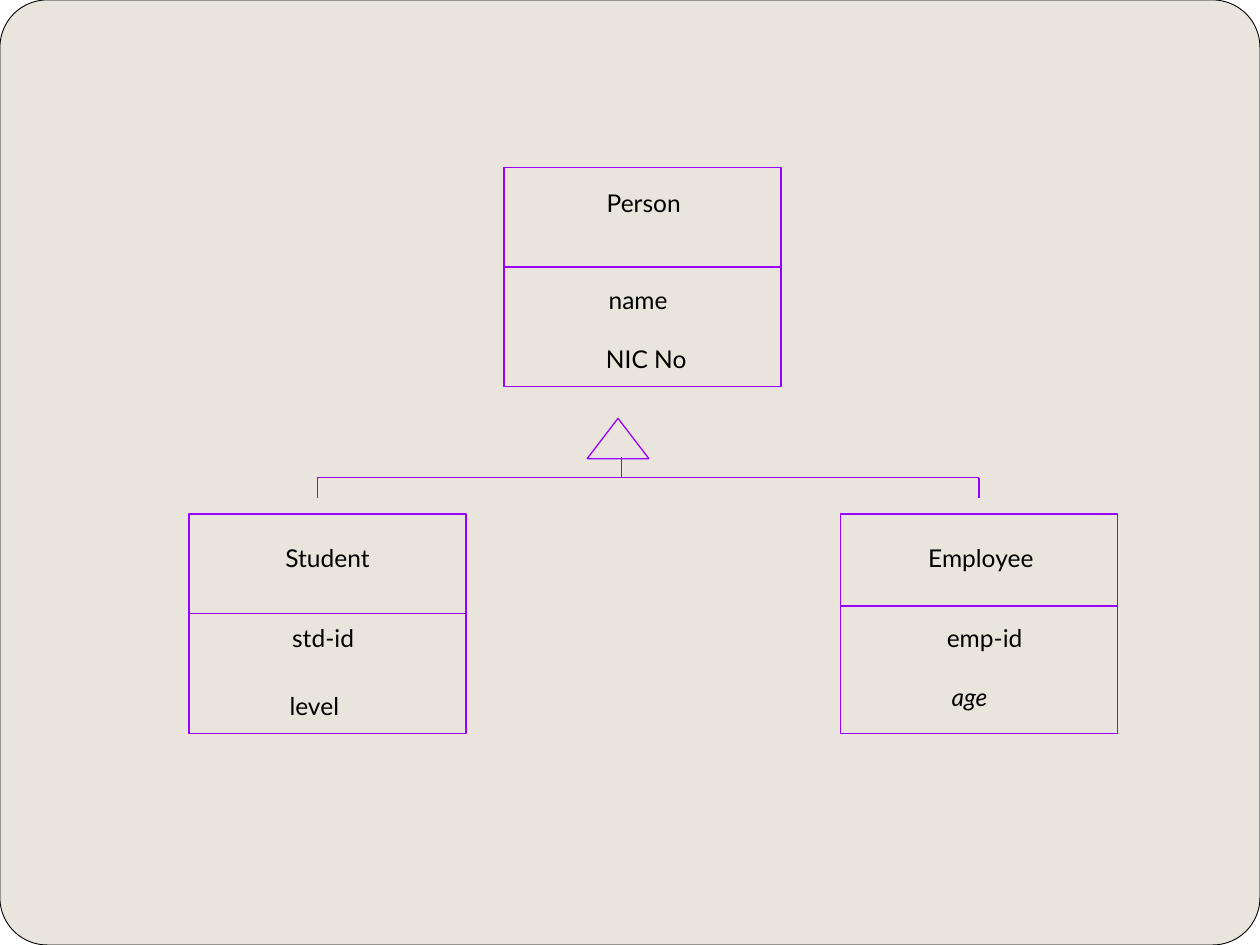
import pptx
import pptx.util
import pptx.dml.color
import pptx.enum.shapes
import pptx.enum.text
import pptx.oxml.ns
import lxml.etree

Inches = pptx.util.Inches
Pt = pptx.util.Pt
RGBColor = pptx.dml.color.RGBColor
MSO_SHAPE = pptx.enum.shapes.MSO_SHAPE

BEIGE = RGBColor(0xE9, 0xE5, 0xDC)
WHITE = RGBColor(0xFF, 0xFF, 0xFF)
BLACK = RGBColor(0x00, 0x00, 0x00)
PURPLE = RGBColor(0x99, 0x00, 0xFF)

prs = pptx.Presentation()
prs.slide_width = Inches(10)
prs.slide_height = Inches(7.5)
s = prs.slides.add_slide(prs.slide_layouts[6])
s.background.fill.solid()
s.background.fill.fore_color.rgb = BEIGE


def add_text(text, *, left, top, width, height=0.64, italic=False, wrap=True):
    tb = s.shapes.add_textbox(Inches(left), Inches(top), Inches(width), Inches(height))
    tf = tb.text_frame
    tf.word_wrap = wrap
    tf.vertical_anchor = pptx.enum.text.MSO_ANCHOR.MIDDLE
    p = tf.paragraphs[0]
    p.alignment = pptx.enum.text.PP_ALIGN.CENTER
    r = p.add_run()
    r.text = text
    r.font.name = "Lato"
    r.font.size = Pt(14)
    r.font.italic = italic
    r.font.color.rgb = BLACK


def add_shape(kind, left, top, width, height, fill=None, line=None, weight=0.75):
    sp = s.shapes.add_shape(kind, Inches(left), Inches(top), Inches(width), Inches(height))
    sp.shadow.inherit = False
    if fill is None:
        sp.fill.background()
    else:
        sp.fill.solid()
        sp.fill.fore_color.rgb = fill
    if line is None:
        sp.line.fill.background()
    else:
        sp.line.color.rgb = line
        sp.line.width = Pt(weight)
    return sp


# Rounded page on white
add_shape(MSO_SHAPE.RECTANGLE, 0, 0, 10, 7.5, fill=WHITE)
page = add_shape(MSO_SHAPE.ROUNDED_RECTANGLE, 0, 0, 10, 7.5, fill=BEIGE, line=BLACK, weight=0.5)
page.adjustments[0] = 0.05

# Class boxes: left, top, y of the divider
BOX_W, BOX_H = 2.2, 1.74
classes = [(4, 1.33, 2.12), (1.5, 4.08, 4.87), (6.67, 4.08, 4.81)]
for left, top, divider in classes:
    add_shape(MSO_SHAPE.RECTANGLE, left, top, BOX_W, BOX_H, line=PURPLE)

# Inheritance triangle
add_shape(MSO_SHAPE.ISOSCELES_TRIANGLE, 4.66, 3.32, 0.49, 0.32, line=PURPLE)

# Dividers and inheritance tree
BAR_Y, STUDENT_X, EMPLOYEE_X, STEM_X = 3.79, 2.52, 7.77, 4.93
lines = [(left, y, left + BOX_W, y) for left, top, y in classes]
lines += [
    (STUDENT_X, BAR_Y, EMPLOYEE_X, BAR_Y),
    (STUDENT_X, BAR_Y, STUDENT_X, BAR_Y + 0.16),
    (EMPLOYEE_X, BAR_Y, EMPLOYEE_X, BAR_Y + 0.16),
    (STEM_X, BAR_Y - 0.16, STEM_X, BAR_Y),
]
for ends in lines:
    cn = s.shapes.add_connector(
        pptx.enum.shapes.MSO_CONNECTOR.STRAIGHT, *[Inches(v) for v in ends])
    cn.line.color.rgb = PURPLE
    cn.line.width = Pt(0.75)
    lxml.etree.SubElement(cn._element.spPr, pptx.oxml.ns.qn("a:effectLst"))

# Person
add_text("Person", left=4.33, top=1.42, width=1.56, height=0.37)
add_text("name", left=4, top=2.06, width=2.13)
add_text("NIC No", left=4.33, top=2.53, width=1.6, wrap=False)

# Student
add_text("Student", left=1.7, top=4.11, width=1.8, wrap=False)
add_text("std-id", left=1.5, top=4.74, width=2.13)
add_text("level", left=1.86, top=5.28, width=1.27, wrap=False)

# Employee
add_text("Employee", left=6.71, top=4.11, width=2.15, wrap=False)
add_text("emp-id", left=6.75, top=4.74, width=2.13)
add_text("age", left=7.17, top=5.21, width=1.05, italic=True, wrap=False)

prs.save("out.pptx")
